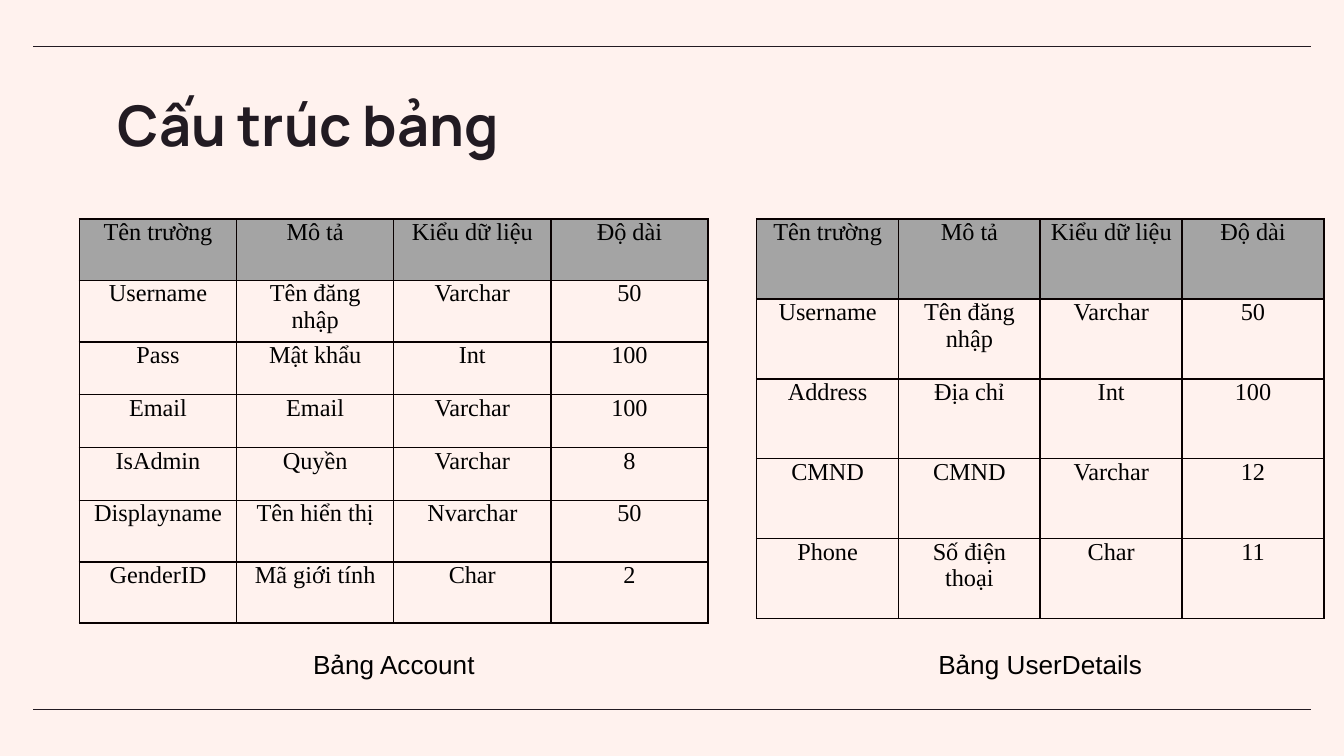
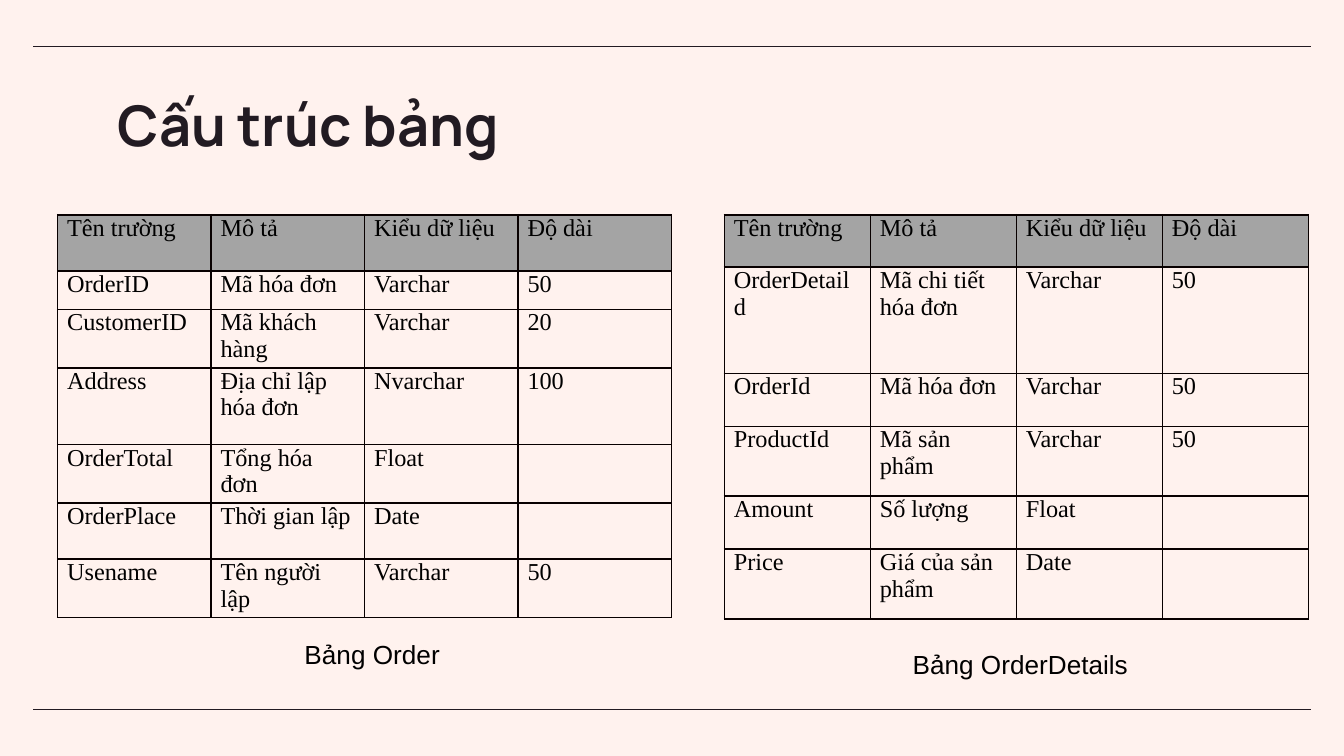
from dataclasses import dataclass

from lxml.etree import SubElement
from pptx import Presentation
from pptx.dml.color import RGBColor
from pptx.enum.shapes import MSO_CONNECTOR as Connector
from pptx.enum.text import MSO_ANCHOR as Anchor, MSO_AUTO_SIZE as AutoSize, PP_ALIGN as Align
from pptx.oxml.ns import qn
from pptx.util import Cm, Pt


@dataclass(frozen=True)
class Theme:
    background: str = "FFF2EE"
    ink: str = "221B22"
    text: str = "000000"
    header: str = "A4A4A4"
    border: str = "080000"
    title_font: str = "Manrope"
    cell_font: str = "Times New Roman"
    caption_font: str = "Arial"
    title_size: int = 30
    cell_size: int = 13
    caption_size: int = 14
    rule_width: float = 0.75
    border_width: int = 1


def color(value):
    return RGBColor.from_string(value)


class SchemaDeck:
    """Holds the theme and the slide being drawn; lengths are centimetres."""

    def __init__(self, theme):
        self.theme = theme
        self.deck = Presentation()
        self.deck.slide_width, self.deck.slide_height = Cm(25.4), Cm(14.29)
        fill = self.deck.slide_master.background.fill
        fill.solid()
        fill.fore_color.rgb = color(theme.background)
        self.page = None

    def add_page(self, title):
        self.page = self.deck.slides.add_slide(self.deck.slide_layouts[6])
        for top in (0.88, 13.41):
            self.rule(0.63, 24.77, top)
        self.title(title)

    def rule(self, left, right, top):
        line = self.page.shapes.add_connector(
            Connector.STRAIGHT, Cm(left), Cm(top), Cm(right), Cm(top))
        line.line.color.rgb = color(self.theme.ink)
        line.line.width = Pt(self.theme.rule_width)
        SubElement(line._element.spPr, qn("a:effectLst"))

    def style(self, para, font, size, ink, bold=False):
        for span in para.runs:
            span.font.name = font
            span.font.size = Pt(size)
            span.font.color.rgb = color(ink)
            span.font.bold = bold

    def text_box(self, text, left, top, width, height):
        box = self.page.shapes.add_textbox(Cm(left), Cm(top), Cm(width), Cm(height))
        frame = box.text_frame
        frame.word_wrap = True
        frame.text = text
        return frame

    def title(self, text):
        frame = self.text_box(text, 1.98, 1.47, 21.44, 1.6)
        frame.margin_top = frame.margin_bottom = Cm(0.25)
        theme = self.theme
        self.style(frame.paragraphs[0], theme.title_font, theme.title_size, theme.ink, True)

    def caption(self, text, left, top, width):
        frame = self.text_box(text, left, top, width, 0.86)
        frame.auto_size = AutoSize.SHAPE_TO_FIT_TEXT
        para = frame.paragraphs[0]
        para.alignment = Align.CENTER
        theme = self.theme
        self.style(para, theme.caption_font, theme.caption_size, theme.text)

    def table(self, rows, left, top, column_width, heights, align):
        columns = len(rows[0])
        table = self.page.shapes.add_table(
            len(rows), columns, Cm(left), Cm(top),
            Cm(column_width * columns), Cm(sum(heights))).table
        table.first_row = table.horz_banding = False
        for column in table.columns:
            column.width = Cm(column_width)
        for row, height, values in zip(table.rows, heights, rows):
            row.height = Cm(height)
            for cell, value in zip(row.cells, values):
                self.cell(cell, value, align, is_header=values is rows[0])

    def cell(self, cell, value, align, is_header):
        theme = self.theme
        cell.margin_left = cell.margin_right = Cm(0.18)
        cell.margin_top = cell.margin_bottom = 0
        cell.vertical_anchor = Anchor.TOP
        self.borders(cell)
        if is_header:
            cell.fill.solid()
            cell.fill.fore_color.rgb = color(theme.header)
        else:
            cell.fill.background()
        if value:
            cell.text_frame.text = value
        para = cell.text_frame.paragraphs[0]
        para.alignment = align
        self.style(para, theme.cell_font, theme.cell_size, theme.text)

    def borders(self, cell):
        """Lines on all four sides; must come before the cell's fill."""
        properties = cell._tc.get_or_add_tcPr()
        for side in "LRTB":
            line = SubElement(properties, qn(f"a:ln{side}"), w=str(Pt(self.theme.border_width)))
            fill = SubElement(line, qn("a:solidFill"))
            SubElement(fill, qn("a:srgbClr"), val=self.theme.border)


TITLE = "Cấu trúc bảng"
HEADER = ("Tên trường", "Mô tả", "Kiểu dữ liệu", "Độ dài")

ACCOUNT = (
    HEADER,
    ("Username", "Tên đăng nhập", "Varchar", "50"),
    ("Pass", "Mật khẩu", "Int", "100"),
    ("Email", "Email", "Varchar", "100"),
    ("IsAdmin", "Quyền", "Varchar", "8"),
    ("Displayname", "Tên hiển thị", "Nvarchar", "50"),
    ("GenderID", "Mã giới tính", "Char", "2"),
)
USER_DETAILS = (
    HEADER,
    ("Username", "Tên đăng nhập", "Varchar", "50"),
    ("Address", "Địa chỉ", "Int", "100"),
    ("CMND", "CMND", "Varchar", "12"),
    ("Phone", "Số điện thoại", "Char", "11"),
)
ORDER = (
    HEADER,
    ("OrderID", "Mã hóa đơn", "Varchar", "50"),
    ("CustomerID", "Mã khách hàng", "Varchar", "20"),
    ("Address", "Địa chỉ lập hóa đơn", "Nvarchar", "100"),
    ("OrderTotal", "Tổng hóa đơn", "Float", ""),
    ("OrderPlace", "Thời gian lập", "Date", ""),
    ("Usename", "Tên người lập", "Varchar", "50"),
)
ORDER_DETAILS = (
    HEADER,
    ("OrderDetaild", "Mã chi tiết hóa đơn", "Varchar", "50"),
    ("OrderId", "Mã hóa đơn", "Varchar", "50"),
    ("ProductId", "Mã sản phẩm", "Varchar", "50"),
    ("Amount", "Số lượng", "Float", ""),
    ("Price", "Giá của sản phẩm", "Date", ""),
)


def main():
    schema = SchemaDeck(Theme())

    schema.add_page(TITLE)
    account_heights = (1.16, 1.16, 1, 1, 1, 1.16, 1.16)
    schema.table(ACCOUNT, 1.5, 4.14, 2.97, account_heights, Align.CENTER)
    schema.table(USER_DETAILS, 14.3, 4.14, 2.68, [1.51] * len(USER_DETAILS), Align.CENTER)
    schema.caption("Bảng Account", 1.5, 12.14, 11.89)
    schema.caption("Bảng UserDetails", 14.3, 12.14, 10.72)

    schema.add_page(TITLE)
    order_heights = (1.06, 0.73, 1.1, 1.45, 1.1, 1.06, 1.1)
    detail_heights = (0.99, 2.01, 1, 1.32, 1, 1.32)
    schema.table(ORDER, 1.09, 4.06, 2.9, order_heights, Align.LEFT)
    schema.table(ORDER_DETAILS, 13.69, 4.06, 2.76, detail_heights, Align.LEFT)
    schema.caption("Bảng Order", 1.09, 11.94, 11.89)
    schema.caption("Bảng OrderDetails", 13.34, 12.14, 11.89)

    schema.deck.save("out.pptx")


if __name__ == "__main__":
    main()
